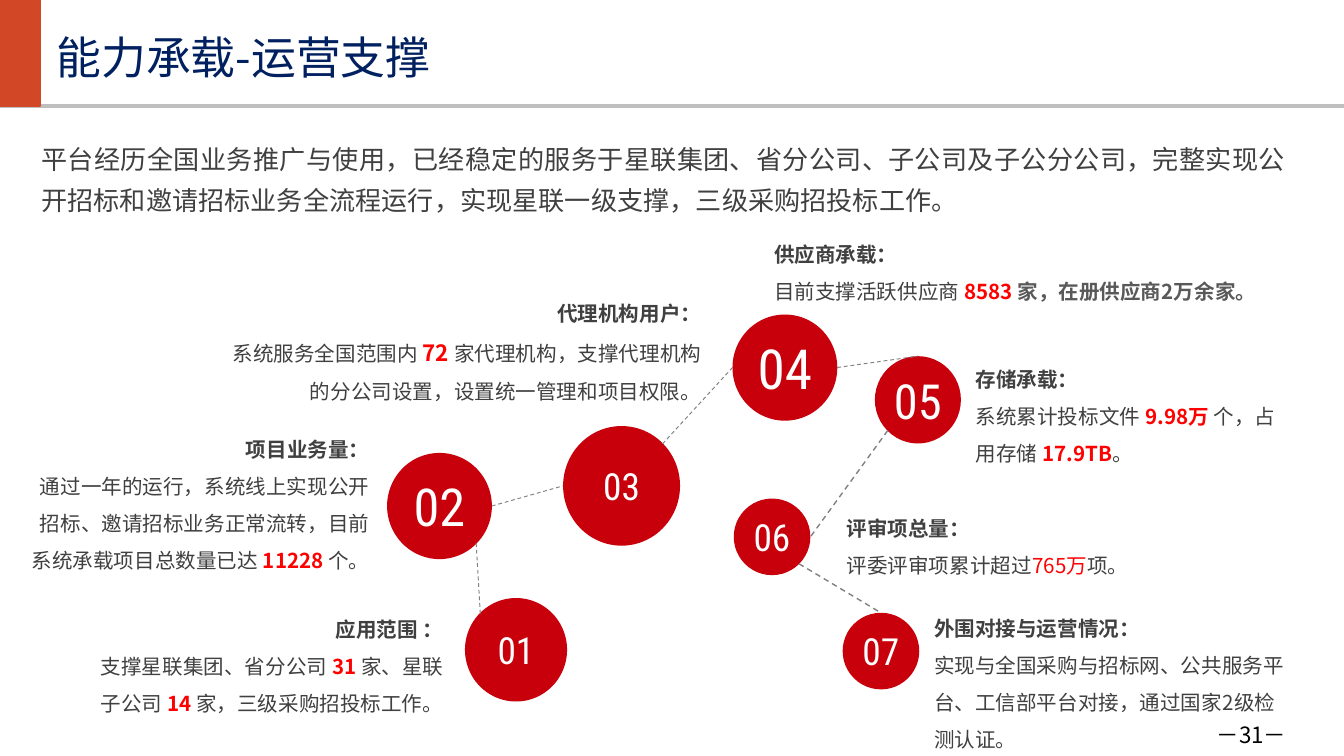
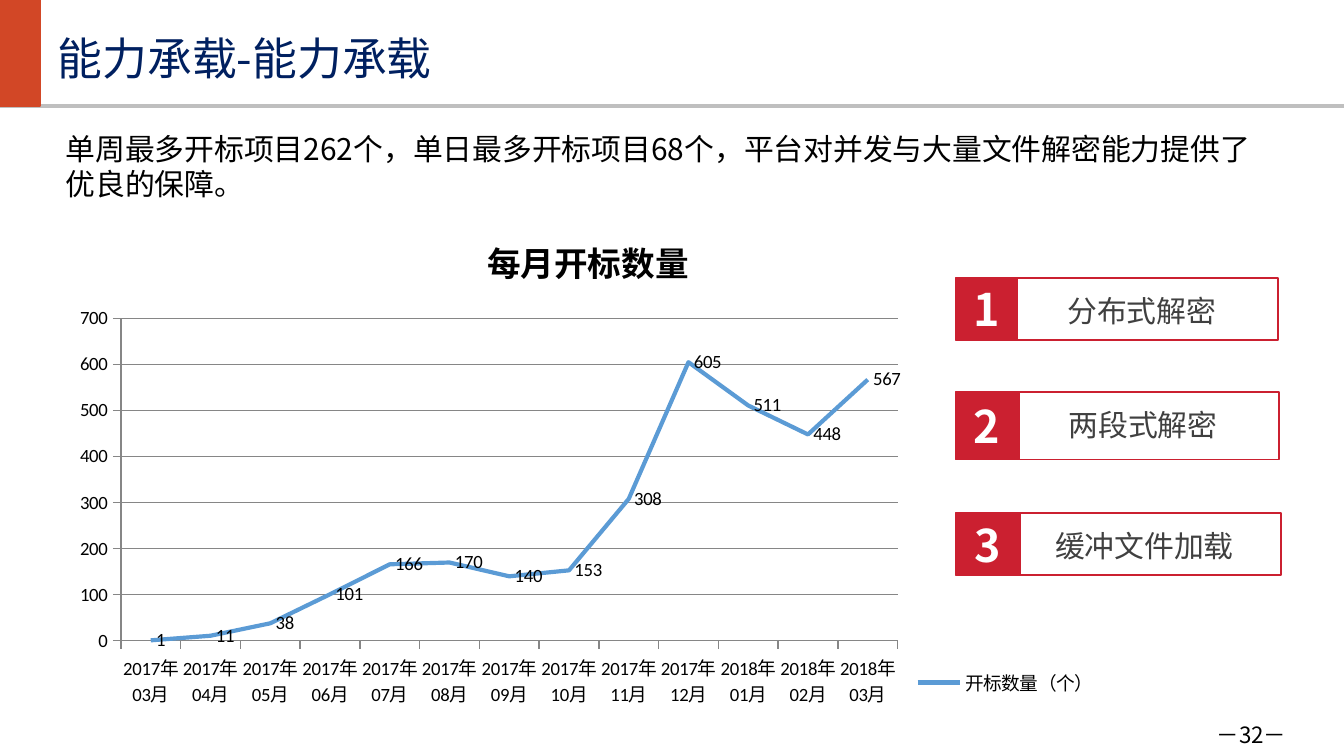
from lxml import etree
from pptx import Presentation
from pptx.chart.data import CategoryChartData
from pptx.dml.color import RGBColor
from pptx.enum.chart import XL_CHART_TYPE, XL_LABEL_POSITION, XL_LEGEND_POSITION, XL_MARKER_STYLE, XL_TICK_MARK
from pptx.enum.dml import MSO_LINE
from pptx.enum.shapes import MSO_CONNECTOR, MSO_SHAPE
from pptx.enum.text import MSO_ANCHOR, MSO_AUTO_SIZE, PP_ALIGN
from pptx.oxml import parse_xml
from pptx.oxml.ns import nsdecls, qn
from pptx.util import Inches, Pt

RECTANGLE, OVAL = MSO_SHAPE.RECTANGLE, MSO_SHAPE.OVAL
STRAIGHT = MSO_CONNECTOR.STRAIGHT
LEFT, CENTER, RIGHT, JUSTIFY = PP_ALIGN.LEFT, PP_ALIGN.CENTER, PP_ALIGN.RIGHT, PP_ALIGN.JUSTIFY
TOP, MIDDLE = MSO_ANCHOR.TOP, MSO_ANCHOR.MIDDLE
GROW, FIXED = MSO_AUTO_SIZE.SHAPE_TO_FIT_TEXT, MSO_AUTO_SIZE.NONE

FONT, NUMBER_FONT, CHART_FONT = "Noto Sans CJK SC", "Roboto Condensed", "Calibri"
COLORS = {name: RGBColor.from_string(value) for name, value in {
    "band": "D24726", "rule": "BFBFBF", "title": "002060", "black": "000000",
    "white": "FFFFFF", "text": "404040", "soft": "595959", "mark": "FF0000",
    "circle": "C7000B", "dash": "808080", "badge": "CB2030", "series": "5B9BD5",
    "grid": "868686"}.items()}
WIDE_MARGINS, NARROW_MARGINS = (0.1, 0.05), (0.07, 0.04)


def add_box(slide, kind, box, fill=None, line=None):
    shape = slide.shapes.add_shape(kind, *map(Inches, box))
    shape.shadow.inherit = False
    if fill:
        shape.fill.solid()
        shape.fill.fore_color.rgb = COLORS[fill]
    else:
        shape.fill.background()
    if line:
        shape.line.color.rgb = COLORS[line]
        shape.line.width = Pt(1)
    else:
        shape.line.fill.background()
    return shape


def write_text(shape, paragraphs, size, color="text", font=FONT, align=LEFT, anchor=TOP,
               spacing=1.0, margins=WIDE_MARGINS, wrap=True, fit=FIXED, heading=False):
    """Each paragraph is a list of runs: (text[, colour, bold[, size]])."""
    frame = shape.text_frame
    frame.word_wrap, frame.auto_size, frame.vertical_anchor = wrap, fit, anchor
    frame.margin_left = frame.margin_right = Inches(margins[0])
    frame.margin_top = frame.margin_bottom = Inches(margins[1])
    for index, runs in enumerate(paragraphs):
        paragraph = frame.add_paragraph() if index else frame.paragraphs[0]
        paragraph.alignment, paragraph.line_spacing = align, spacing
        paragraph.font.name, paragraph.font.size = font, Pt(size)
        paragraph.font.color.rgb = COLORS[color]
        paragraph.font.bold = heading and index == 0
        east_asian = etree.SubElement(paragraph.font._element, qn("a:ea"))
        east_asian.set("typeface", font)
        for text, *style in runs:
            run = paragraph.add_run()
            run.text = text
            if style:
                run.font.color.rgb = COLORS[style[0]]
                run.font.bold = style[1]
            if len(style) > 2:
                run.font.size = Pt(style[2])


# Widescreen, 16 to 9
presentation = Presentation()
presentation.slide_width, presentation.slide_height = Inches(10), Inches(10 * 9 / 16)

# Shared frame: rule, colour band, title and page number
slides = []
for title, title_box, page in [
    ("能力承载-运营支撑", (0.35, 0.21, 7.55, 0.47), 31),
    ("能力承载-能力承载", (0.36, 0.24, 7.78, 0.42), 32),
]:
    slide = presentation.slides.add_slide(presentation.slide_layouts[5])
    slides.append(slide)
    rule = slide.shapes.add_connector(STRAIGHT, 0, Inches(0.79), Inches(10), Inches(0.79))
    rule.line.color.rgb = COLORS["rule"]
    rule.line.width = Pt(2.25)
    etree.SubElement(rule._element.spPr, qn("a:effectLst"))
    add_box(slide, RECTANGLE, (0, -0.01, 0.3, 0.8), "band", "band")
    heading = slide.shapes.title
    heading.left, heading.top, heading.width, heading.height = map(Inches, title_box)
    write_text(heading, [[(title,)]], 24, "title", anchor=MIDDLE, spacing=0.9,
               margins=NARROW_MARGINS)
    number = slide.shapes.add_textbox(*map(Inches, (8.57, 5.32, 1.1, 0.39)))
    write_text(number, [[(f"－{page}－",)]], 12, "black", align=RIGHT)
support, capacity = slides

# Slide 1: numbered circles
circles = {
    "01": (3.46, 4.45, 0.76, 0.77, 20),
    "02": (2.88, 3.37, 0.78, 0.79, 28),
    "03": (4.19, 3.17, 0.87, 0.89, 20),
    "04": (5.45, 2.34, 0.78, 0.79, 29.6),
    "05": (6.51, 2.65, 0.64, 0.65, 25.9),
    "06": (5.46, 3.71, 0.57, 0.57, 20),
    "07": (6.27, 4.56, 0.57, 0.57, 20),
}
for label, (*box, size) in circles.items():
    circle = add_box(support, OVAL, box, "circle")
    write_text(circle, [[(label,)]], size, "white", NUMBER_FONT, CENTER, MIDDLE, wrap=False)

# Dashed links between points on the circles' edges
EDGE = {"top": (0.5, 0), "left": (0, 0.5), "right": (1, 0.5), "top left": (0.15, 0.15),
        "top right": (0.85, 0.15), "bottom left": (0.15, 0.85), "bottom right": (0.85, 0.85)}
for start, start_edge, end, end_edge, width in [
    ("01", "top left", "02", "bottom right", 0.5),
    ("02", "right", "03", "left", 0.5),
    ("03", "top right", "04", "left", 0.5),
    ("04", "right", "05", "top", 0.5),
    ("05", "bottom left", "06", "right", 0.75),
    ("06", "bottom right", "07", "top", 0.75),
]:
    points = []
    for label, edge in ((start, start_edge), (end, end_edge)):
        left, top, across, down, _ = circles[label]
        points += [Inches(left + across * EDGE[edge][0]), Inches(top + down * EDGE[edge][1])]
    link = support.shapes.add_connector(STRAIGHT, *points)
    link.line.color.rgb = COLORS["dash"]
    link.line.width = Pt(width)
    link.line.dash_style = MSO_LINE.DASH
    etree.SubElement(link._element.spPr, qn("a:effectLst"))

# Descriptions beside the circles
for box, align, wrap, heading, runs in [
    ((0.53, 4.46, 2.84, 0.93), RIGHT, True, "应用范围 ：", [
        ("支撑星联集团、省分公司 ",), ("31 ", "mark", True), ("家、星联子公司 ",),
        ("14 ", "mark", True), ("家，三级采购招投标工作。",)]),
    ((0.13, 3.12, 2.69, 1.21), RIGHT, True, "项目业务量：", [
        ("通过一年的运行，系统线上实现公开招标、邀请招标业务正常流转，目前系统承载项目总数量已达 ",),
        ("11228 ", "mark", True), ("个。",)]),
    ((1.56, 2.11, 3.73, 1.17), RIGHT, True, "代理机构用户：", [
        ("系统服务全国范围内 ",), ("72 ", "mark", True, 12),
        ("家代理机构，支撑代理机构的分公司设置，设置统一管理和项目权限。",)]),
    ((5.69, 1.67, 3.8, 0.63), LEFT, False, "供应商承载：", [
        ("目前支撑活跃供应商 ",), ("8583 ", "mark", True),
        ("家，在册供应商2万余家。", "soft", True)]),
    ((7.19, 2.6, 2.43, 0.93), LEFT, True, "存储承载：", [
        ("系统累计投标文件 ",), ("9.98万 ", "mark", True), ("个，占用存储 ",),
        ("17.9TB", "mark", True), ("。",)]),
    ((6.23, 3.71, 2.18, 0.63), LEFT, True, "评审项总量：", [
        ("评委评审项累计超过",), ("765万", "mark", False), ("项。",)]),
    ((6.88, 4.45, 2.81, 1.21), LEFT, True, "外围对接与运营情况：", [
        ("实现与全国采购与招标网、公共服务平台、工信部平台对接，通过国家2级检测认证。",)]),
]:
    description = support.shapes.add_textbox(*map(Inches, box))
    write_text(description, [[(heading,)], runs], 11, align=align, spacing=1.5,
               margins=NARROW_MARGINS, wrap=wrap, fit=GROW, heading=True)

# Introduction
introduction = support.shapes.add_textbox(*map(Inches, (0.21, 0.95, 9.46, 0.72)))
write_text(introduction, [[(
    "平台经历全国业务推广与使用，已经稳定的服务于星联集团、省分公司、子公司及子公分公司，"
    "完整实现公开招标和邀请招标业务全流程运行，实现星联一级支撑，三级采购招投标工作。",)]],
    14, align=JUSTIFY, spacing=1.3, fit=GROW)

# Slide 2: monthly line chart
months = [f"2017年{month:02}月" for month in range(3, 13)]
months += [f"2018年{month:02}月" for month in range(1, 4)]
data = CategoryChartData()
data.categories = months
data.add_series("开标数量（个）", [1, 11, 38, 101, 166, 170, 140, 153, 308, 605, 511, 448, 567])
chart_box = (0.44, 1.56, 7.87, 3.94)
chart = capacity.shapes.add_chart(XL_CHART_TYPE.LINE, *map(Inches, chart_box), data).chart
chart.font.name, chart.font.size = CHART_FONT, Pt(10)
chart.font.color.rgb = COLORS["black"]
chart.has_title = True
chart_title = chart.chart_title.text_frame.paragraphs[0]
chart_title.text = "每月开标数量"
chart_title.font.name, chart_title.font.size, chart_title.font.bold = CHART_FONT, Pt(18), True
chart_title.font.color.rgb = COLORS["black"]
chart.has_legend = True
chart.legend.position = XL_LEGEND_POSITION.RIGHT
chart.legend.include_in_layout = False

value_axis = chart.value_axis
value_axis.minimum_scale, value_axis.maximum_scale, value_axis.major_unit = 0, 700, 100
value_axis.has_major_gridlines = True
for axis in (chart.category_axis, value_axis):
    axis.major_tick_mark = XL_TICK_MARK.OUTSIDE
for part in (chart.category_axis, value_axis, value_axis.major_gridlines):
    part.format.line.color.rgb = COLORS["grid"]
    part.format.line.width = Pt(0.75)

plot = chart.plots[0]
plot.vary_by_categories = False
series = plot.series[0]
series.smooth = False
series.marker.style = XL_MARKER_STYLE.NONE
series.format.line.color.rgb = COLORS["series"]
series.format.line.width = Pt(2.25)
series.data_labels.show_value = True
series.data_labels.position = XL_LABEL_POSITION.RIGHT

# Fixed places for the plot area and the legend, in inches from the chart's corner
for parent, index, target, (left, top, width, height) in [
    (chart._chartSpace.chart.plotArea, 0, '<c:layoutTarget val="inner"/>',
     (0.46, 0.81, 5.78, 2.4)),
    (chart.legend._element, 1, "", (6.34, 3.36, 1.4, 0.32)),
]:
    for existing in parent.findall(qn("c:layout")):
        parent.remove(existing)
    modes = '<c:xMode val="edge"/><c:yMode val="edge"/>'
    shares = {"x": left / chart_box[2], "y": top / chart_box[3],
              "w": width / chart_box[2], "h": height / chart_box[3]}
    values = "".join(f'<c:{name} val="{share:.4f}"/>' for name, share in shares.items())
    parent.insert(index, parse_xml(
        f'<c:layout {nsdecls("c")}><c:manualLayout>{target}{modes}{values}'
        '</c:manualLayout></c:layout>'))

# Summary
summary = add_box(capacity, RECTANGLE, (0.39, 0.92, 9.19, 0.64), "white", "white")
write_text(summary, [[(
    "单周最多开标项目262个，单日最多开标项目68个，平台对并发与大量文件解密能力提供了优良的保障。",)]],
    16, "black", fit=GROW)

# Numbered features
for number, (feature, top, width, height) in enumerate([
    ("分布式解密", 2.07, 0.46, 0.46),
    ("两段式解密", 2.92, 0.47, 0.5),
    ("缓冲文件加载", 3.82, 0.48, 0.46),
], 1):
    badge = add_box(capacity, RECTANGLE, (7.11, top, width, height), "badge", "badge")
    write_text(badge, [[(str(number),)]], 24, "white", align=CENTER, anchor=MIDDLE, heading=True)
    left = 7.11 + width
    add_box(capacity, RECTANGLE, (left, top, 1.94, height), line="badge")
    caption = capacity.shapes.add_textbox(*map(Inches, (left + 0.08, top + 0.06, 1.69, 0.37)))
    write_text(caption, [[(feature,)]], 16, align=CENTER, fit=GROW)

presentation.save("out.pptx")
